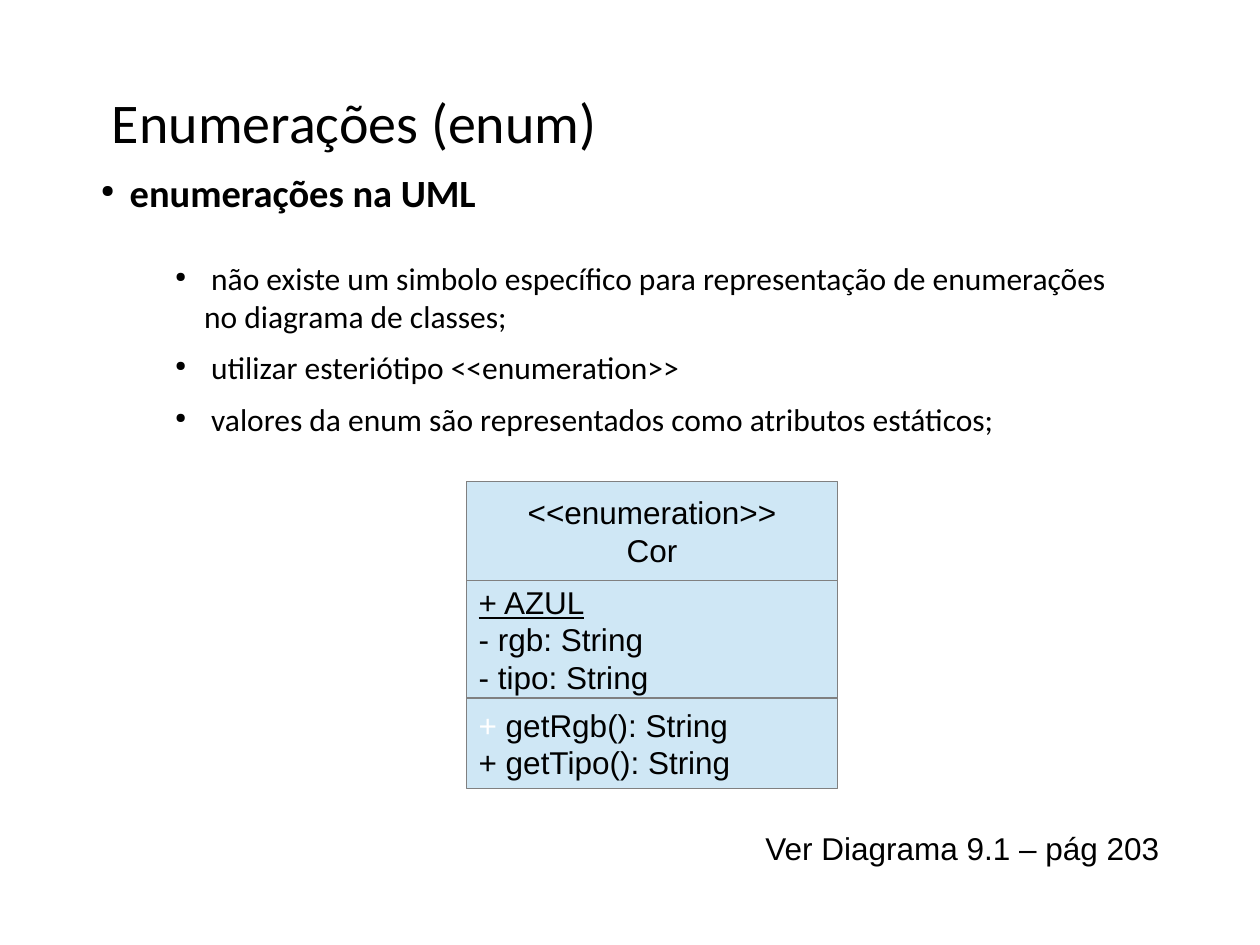
"""Build a slide on enumerations in UML with a small class diagram."""
from lxml import etree
from pptx import Presentation
from pptx import util as u
from pptx.dml.color import RGBColor
from pptx.enum import shapes, text
from pptx.oxml import ns

BLACK = RGBColor(0x00, 0x00, 0x00)
WHITE = RGBColor(0xFF, 0xFF, 0xFF)
GRAY = RGBColor(0x80, 0x80, 0x80)
LIGHT_BLUE = RGBColor(0xCF, 0xE7, 0xF5)


class SlideBuilder:
    """Hold the slide and its style, and add each kind of element."""

    body_font = "Calibri"
    diagram_font = "Arial"
    text_size = 18
    bullet_indent = 0.23

    def __init__(self, slide):
        self.slide = slide

    def fill_text(self, shape, paragraphs, font, anchor, margins=(0.1, 0.05), align=None, space=0):
        """Fill a shape with paragraphs, each a list of (text, format) runs."""
        frame = shape.text_frame
        horizontal, vertical = map(u.Inches, margins)
        settings = {
            "word_wrap": True, "vertical_anchor": anchor,
            "margin_left": horizontal, "margin_right": horizontal,
            "margin_top": vertical, "margin_bottom": vertical,
        }
        for name, value in settings.items():
            setattr(frame, name, value)
        for index, runs in enumerate(paragraphs):
            paragraph = frame.add_paragraph() if index else frame.paragraphs[0]
            paragraph.alignment = align or text.PP_ALIGN.LEFT
            paragraph.space_before = u.Pt(space if index else 0)
            for content, changes in runs:
                run = paragraph.add_run()
                run.text = content
                style = {"name": font, "size": u.Pt(self.text_size), "color": BLACK, **changes}
                run.font.color.rgb = style.pop("color")
                for name, value in style.items():
                    setattr(run.font, name, value)
        return frame

    def text_box(self, box, content, font, anchor, align=None, **style):
        """Add a text box with one line."""
        shape = self.slide.shapes.add_textbox(*map(u.Inches, box))
        self.fill_text(shape, [[(content, style)]], font, anchor, align=align)

    def bullets(self, box, lines, **style):
        """Add a bulleted list."""
        shape = self.slide.shapes.add_textbox(*map(u.Inches, box))
        frame = self.fill_text(shape, [[(line, style)] for line in lines], self.body_font,
                               text.MSO_ANCHOR.MIDDLE, margins=(0, 0), space=8)
        indent = u.Inches(self.bullet_indent)
        for paragraph in frame.paragraphs:
            properties = paragraph._p.get_or_add_pPr()
            properties.set("marL", str(indent))
            properties.set("indent", str(-indent))
            for tag, name, value in (("a:buSzPct", "val", "45000"), ("a:buChar", "char", "●")):
                etree.SubElement(properties, ns.qn(tag)).set(name, value)

    def compartment(self, box, paragraphs, align=None):
        """Add one compartment of the class diagram."""
        shape = self.slide.shapes.add_shape(shapes.MSO_SHAPE.RECTANGLE, *map(u.Inches, box))
        shape.shadow.inherit = False
        shape.fill.solid()
        shape.fill.fore_color.rgb = LIGHT_BLUE
        shape.line.color.rgb = GRAY
        shape.line.width = u.Pt(0)
        self.fill_text(shape, paragraphs, self.diagram_font, text.MSO_ANCHOR.MIDDLE, align=align)


def main():
    """Create and save the presentation."""
    presentation = Presentation()
    presentation.slide_width = u.Inches(10)
    presentation.slide_height = u.Inches(7.5)
    builder = SlideBuilder(presentation.slides.add_slide(presentation.slide_layouts[6]))

    builder.text_box((0.79, 0.22, 8.5, 1.48), "Enumerações (enum)", builder.body_font,
                     text.MSO_ANCHOR.MIDDLE, size=u.Pt(32))
    builder.bullets((1.39, 1.87, 7.46, 1.79), [
        " não existe um simbolo específico para representação de enumerações no diagrama de classes;",
        " utilizar esteriótipo <<enumeration>>",
        " valores da enum são representados como atributos estáticos;",
    ])
    builder.bullets((0.8, 1.34, 7.46, 0.37), ["enumerações na UML"], size=u.Pt(22), bold=True)
    builder.text_box((4.72, 6.53, 4.58, 0.4), "Ver Diagrama 9.1 – pág 203", builder.diagram_font,
                     text.MSO_ANCHOR.TOP, align=text.PP_ALIGN.RIGHT)

    compartments = [
        (0.79, text.PP_ALIGN.CENTER, [[("<<enumeration>>", {})], [("Cor", {})]]),
        (0.93, None, [[("+ AZUL", {"underline": True})], [("- rgb: String", {})],
                      [("- tipo: String", {})]]),
        (0.72, None, [[("+", {"color": WHITE}), (" getRgb(): String", {})],
                      [("+ getTipo(): String", {})]]),
    ]
    top = 3.82
    for height, align, paragraphs in compartments:
        builder.compartment((3.7, top, 2.95, height), paragraphs, align)
        top += height

    presentation.save("out.pptx")


if __name__ == "__main__":
    main()
